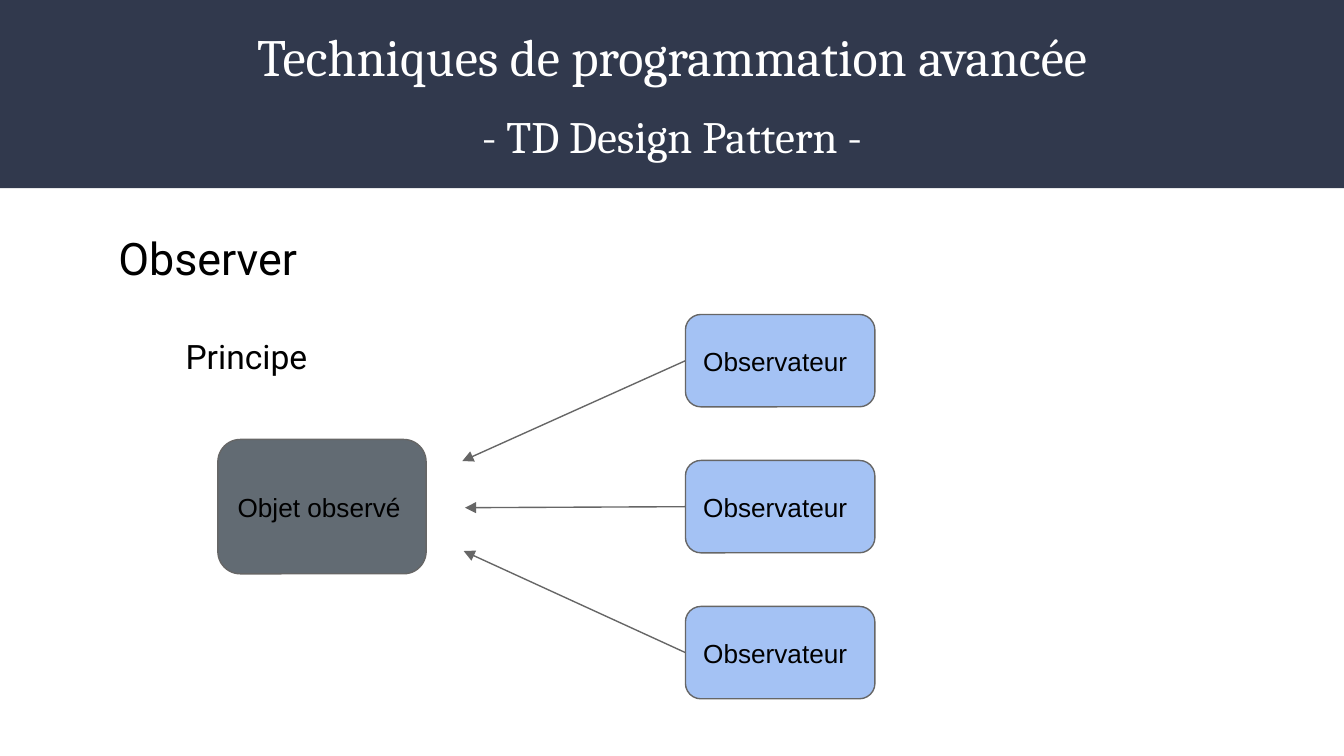
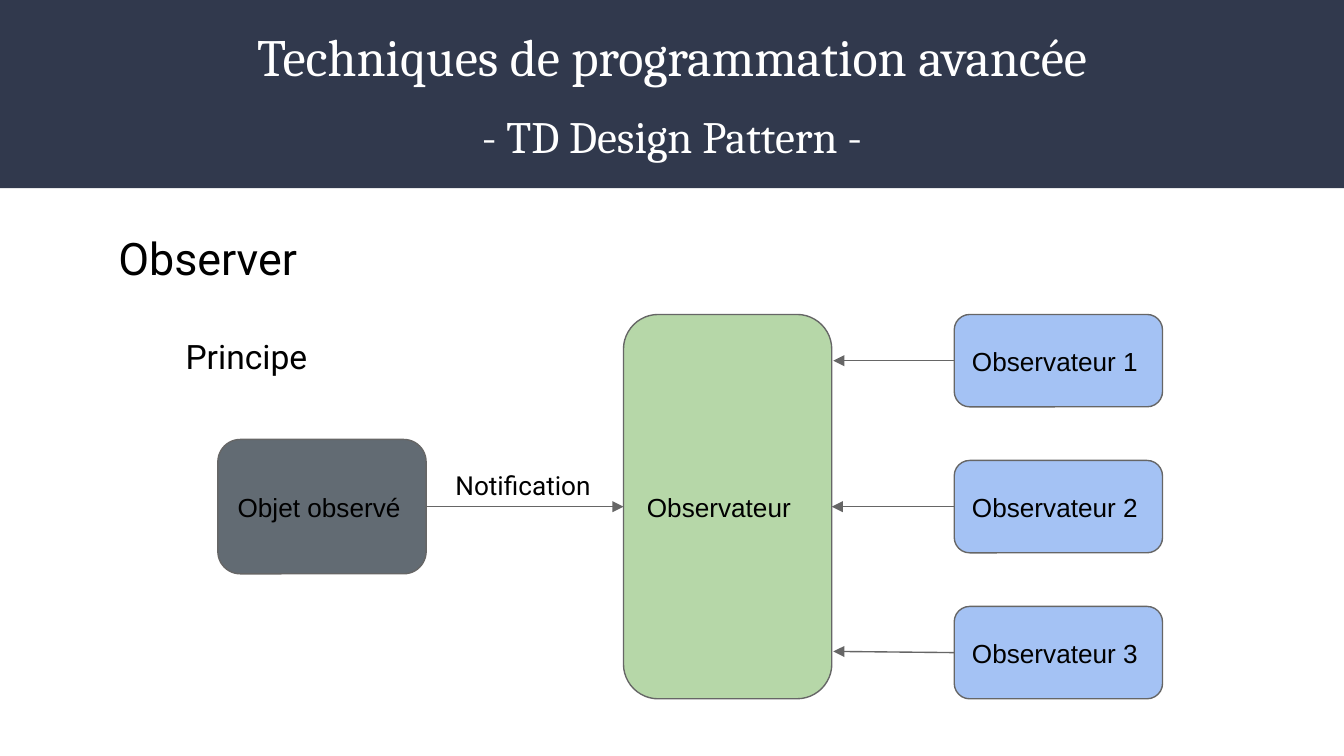
from dataclasses import dataclass

from lxml import etree
from pptx import Presentation
from pptx import util as u
from pptx.dml import color
from pptx.enum import shapes, text
from pptx.oxml import ns


@dataclass(frozen=True)
class Theme:
    # Colours
    band: str = "31394D"
    white: str = "FFFFFF"
    ink: str = "000000"
    edge: str = "666666"
    gray: str = "626B73"
    blue: str = "A4C2F4"
    green: str = "B6D7A8"
    # Fonts
    head: str = "Cambria"
    body: str = "Roboto"
    label: str = "Arial"
    # Type sizes, line width and inset, in points
    title: float = 28
    large: float = 24
    mid: float = 18
    small: float = 14
    rule: float = 0.75
    pad: float = 7.2


# Layout, in points
WIDE, HIGH = 720, 405
BAND = 100.8
TOP, ROW, STEP = 168.5, 49.5, 78.2
SPAN = 2 * STEP + ROW
MID = TOP + SPAN / 2
BOX = 111.6
LEFT, RIGHT = 1, 3


def put(item, **vals):
    """Set each named value on the item."""
    for key, val in vals.items():
        setattr(item, key, val)


def rgb(code):
    return color.RGBColor.from_string(code)


class Deck:
    """Holds the style and the current slide."""

    def __init__(self, theme):
        self.theme = theme
        self.show = Presentation()
        put(self.show, slide_width=u.Pt(WIDE), slide_height=u.Pt(HIGH))
        self.page = None

    def slide(self):
        layout = self.show.slide_layouts[1]
        first = self.page is None
        self.page = self.show.slides.add_slide(layout)
        if first:
            self.band(layout)

    def band(self, layout):
        """Draw the title band and make it part of the layout."""
        band = self.shape(shapes.MSO_SHAPE.RECTANGLE, 0, 0, WIDE, BAND, self.theme.band)
        band.line.fill.background()
        layout.shapes.element.insert(2, band.element)

    def place(self, item, x, y, w, h):
        put(item, left=u.Pt(x), top=u.Pt(y), width=u.Pt(w), height=u.Pt(h))

    def letter(self, item, lines, font, ink, anchor, **form):
        """Fill a frame with (text, size, paragraph values) lines."""
        frame, pad = item.text_frame, u.Pt(self.theme.pad)
        put(frame, word_wrap=True, auto_size=text.MSO_AUTO_SIZE.NONE,
            vertical_anchor=anchor, margin_left=pad, margin_right=pad,
            margin_top=pad, margin_bottom=pad)
        for i, (words, size, extra) in enumerate(lines):
            para = frame.add_paragraph() if i else frame.paragraphs[0]
            put(para, **{"space_before": u.Pt(0), **form, **extra})
            run = para.add_run()
            run.text = words
            put(run.font, name=font, size=u.Pt(size))
            run.font.color.rgb = rgb(ink)

    def title(self, lines):
        item = self.page.shapes.title
        self.place(item, 0, 0, WIDE, 100)
        self.letter(item, lines, self.theme.head, self.theme.white,
                    text.MSO_ANCHOR.MIDDLE, alignment=text.PP_ALIGN.CENTER)

    def body(self, lines, dents):
        item = self.page.placeholders[1]
        self.place(item, 56.2, 112.3, 640, 269.3)
        self.letter(item, lines, self.theme.body, self.theme.ink,
                    text.MSO_ANCHOR.TOP, line_spacing=1.15)
        # Plain lines: no bullets, own indents
        for para, dent in zip(item.text_frame.paragraphs, dents):
            props = para._p.get_or_add_pPr()
            props.set("marL", str(u.Pt(dent)))
            props.set("indent", "0")
            etree.SubElement(props, ns.qn("a:buNone"))

    def shape(self, kind, x, y, w, h, fill):
        item = self.page.shapes.add_shape(kind, *map(u.Pt, (x, y, w, h)))
        item.shadow.inherit = False
        item.fill.solid()
        item.fill.fore_color.rgb = rgb(fill)
        return item

    def box(self, words, x, y, w, h, fill):
        item = self.shape(shapes.MSO_SHAPE.ROUNDED_RECTANGLE, x, y, w, h, fill)
        item.line.color.rgb = rgb(self.theme.edge)
        item.line.width = u.Pt(self.theme.rule)
        self.letter(item, [(words, self.theme.small, {})], self.theme.label,
                    self.theme.ink, text.MSO_ANCHOR.MIDDLE,
                    alignment=text.PP_ALIGN.LEFT)
        return item

    def note(self, words, x, y, w, h):
        item = self.page.shapes.add_textbox(*map(u.Pt, (x, y, w, h)))
        self.letter(item, [(words, self.theme.small, {})], self.theme.body,
                    self.theme.ink, text.MSO_ANCHOR.TOP)

    def arrow(self, start, side, end):
        """Link a box side to a point, or to a (box, side) pair."""
        free = not hasattr(end[0], "shape_id")
        x, y = map(u.Pt, end) if free else (0, 0)
        line = self.page.shapes.add_connector(shapes.MSO_CONNECTOR.STRAIGHT, 0, 0, x, y)
        line.begin_connect(start, side)
        if not free:
            line.end_connect(*end)
        line.line.color.rgb = rgb(self.theme.edge)
        line.line.width = u.Pt(self.theme.rule)
        props = line.element.spPr
        etree.SubElement(props.find(ns.qn("a:ln")), ns.qn("a:tailEnd"), type="triangle")
        etree.SubElement(props, ns.qn("a:effectLst"))

    # Parts that both slides share
    def start(self):
        """Begin a slide with its headings and the observed object."""
        look = self.theme
        self.slide()
        self.title([
            ("Techniques de programmation avancée", look.title, {}),
            ("- TD Design Pattern -", look.large, {"space_before": u.Pt(12)}),
        ])
        self.body([
            ("Observer", look.large, {}),
            ("Principe", look.mid, {"space_before": u.Pt(24.3)}),
        ], dents=(0, 36))
        return self.box("Objet observé", 116.7, MID - 36, BOX, 72, look.gray)

    def stack(self, names, x, w):
        """Draw the column of observers."""
        return [self.box(name, x, TOP + i * STEP, w, ROW, self.theme.blue)
                for i, name in enumerate(names)]


def main():
    deck = Deck(Theme())

    # Slide 1: observers watch the object
    deck.start()
    views = deck.stack(["Observateur"] * 3, 367.2, 101.5)
    for view, end in zip(views, [(247.7, 247), (249.1, 272), (248.4, 295.2)]):
        deck.arrow(view, LEFT, end)

    # Slide 2: a common observer gets the notice
    source = deck.start()
    views = deck.stack([f"Observateur {n}" for n in (1, 2, 3)], 511.2, BOX)
    hub = deck.box("Observateur", 334, TOP, BOX, SPAN, deck.theme.green)
    ends = [(446.4, TOP + ROW / 2), (hub, RIGHT), (446.4, 349)]
    for view, end in zip(views, ends):
        deck.arrow(view, LEFT, end)
    deck.arrow(source, RIGHT, (hub, LEFT))
    deck.note("Notification", 236.9, 244.1, 88, 23)

    deck.show.save("out.pptx")


if __name__ == "__main__":
    main()
